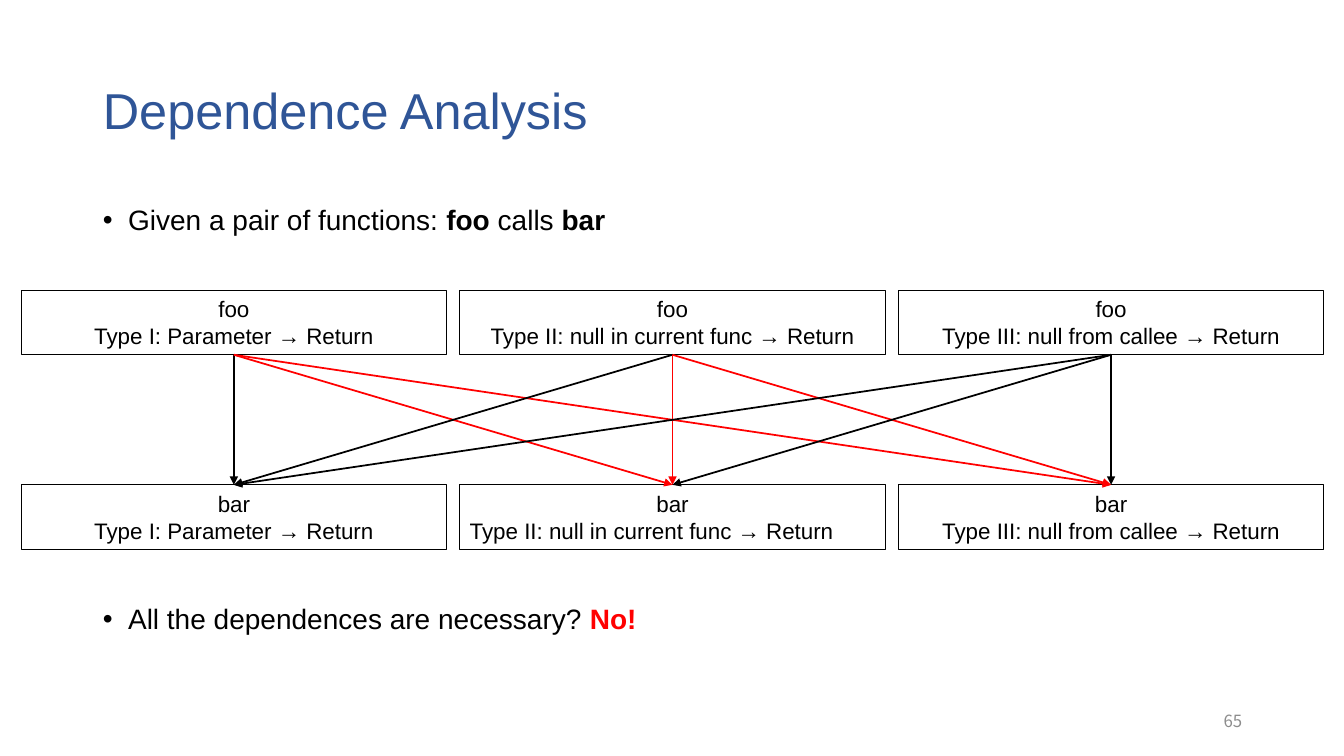
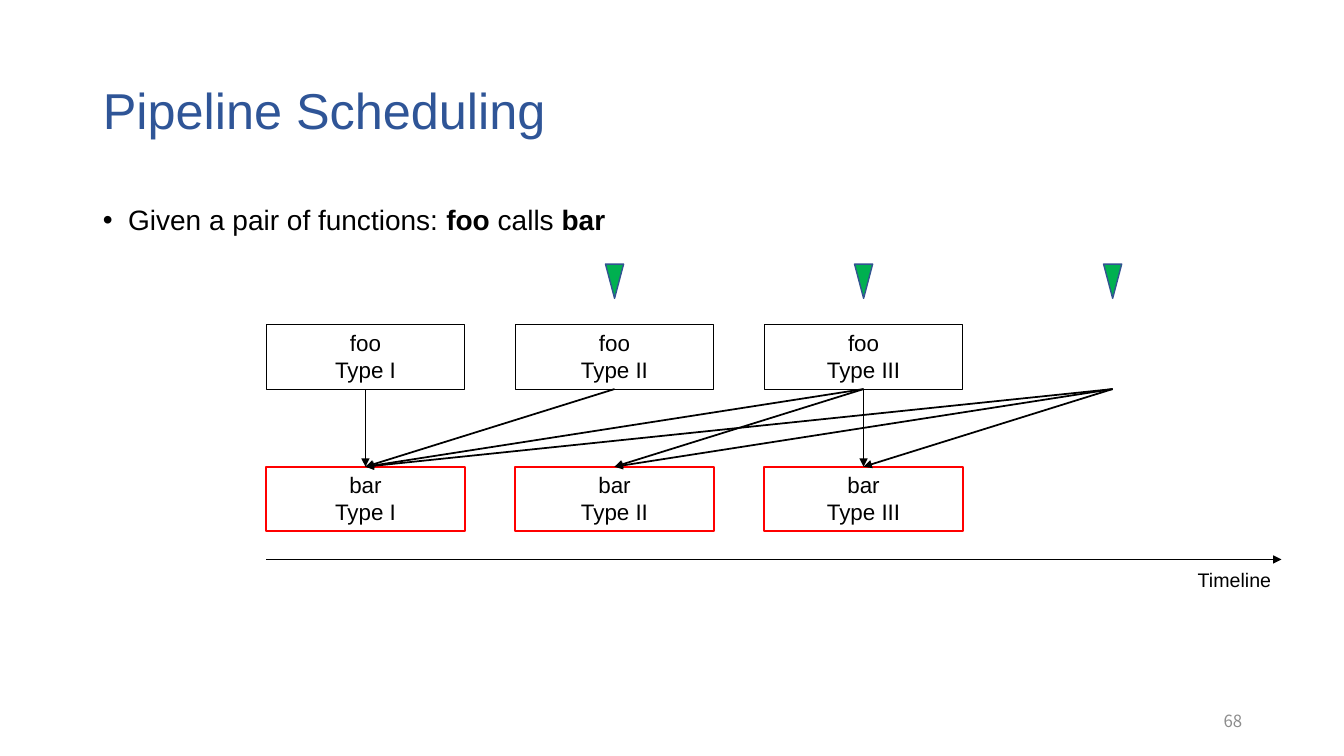
from dataclasses import dataclass

from lxml import etree
from pptx import Presentation
from pptx.dml.color import RGBColor
from pptx.enum.shapes import MSO_CONNECTOR, MSO_SHAPE
from pptx.enum.text import MSO_ANCHOR, MSO_AUTO_SIZE, PP_ALIGN
from pptx.oxml.ns import qn
from pptx.presentation import Presentation as Deck
from pptx.shapes.autoshape import Shape
from pptx.slide import Slide
from pptx.text.text import _Paragraph as Paragraph
from pptx.util import Inches, Pt

LEFT, CENTER, RIGHT = PP_ALIGN.LEFT, PP_ALIGN.CENTER, PP_ALIGN.RIGHT
TOP, MIDDLE = MSO_ANCHOR.TOP, MSO_ANCHOR.MIDDLE
NO_FIT = MSO_AUTO_SIZE.NONE
STRAIGHT = MSO_CONNECTOR.STRAIGHT
RECTANGLE, TRIANGLE = MSO_SHAPE.RECTANGLE, MSO_SHAPE.ISOSCELES_TRIANGLE
TOP_SITE, BOTTOM_SITE = 0, 2

COLORS = {
    "title": "2F5597",
    "text": "000000",
    "alert": "FF0000",
    "number": "8C8C8C",
    "marker": "00B050",
    "marker_edge": "325491",
}
FONT, NUMBER_FONT = "Arial", "Noto Sans CJK SC"
BOX_HEIGHT = 0.64


@dataclass(frozen=True)
class Span:
    text: str
    bold: bool = False
    color: str = "text"


@dataclass(frozen=True)
class Grid:
    left: float
    pitch: float
    width: float
    foo_top: float
    bar_top: float

    def column(self, index: int) -> float:
        return self.left + index * self.pitch

    def center(self, index: int) -> float:
        return self.column(index) + self.width / 2


@dataclass(frozen=True)
class Link:
    foo: int
    bar: int
    color: str = "text"


CALL = [Span("Given a pair of functions: "), Span("foo", True), Span(" calls "), Span("bar", True)]
QUESTION = [Span("All the dependences are necessary? "), Span("No!", True, "alert")]

DEPENDENCE_GRID = Grid(0.21, 4.35, 4.22, 2.88, 4.81)
DEPENDENCE_TYPES = [
    "Type I: Parameter → Return",
    "Type II: null in current func → Return",
    "Type III: null from callee → Return",
]
DEPENDENCE_LINKS = [
    Link(0, 0), Link(0, 1, "alert"), Link(0, 2, "alert"),
    Link(1, 0), Link(1, 1, "alert"), Link(1, 2, "alert"),
    Link(2, 2), Link(2, 1), Link(2, 0),
]

PIPELINE_GRID = Grid(2.64, 2.47, 1.97, 3.22, 4.63)
PIPELINE_TYPES = ["Type I", "Type II", "Type III"]
PIPELINE_LINKS = [
    Link(0, 0), Link(1, 0), Link(2, 2), Link(2, 1), Link(2, 0),
    Link(3, 0), Link(3, 1), Link(3, 2),
]


def rgb(name: str) -> RGBColor:
    return RGBColor.from_string(COLORS[name])


def style(para: Paragraph, size: float, color: str = "text", font: str = FONT) -> None:
    para.font.size = Pt(size)
    para.font.name = font
    para.font.color.rgb = rgb(color)


def place(shape: Shape, left: float, top: float, width: float, height: float) -> None:
    shape.left, shape.top = Inches(left), Inches(top)
    shape.width, shape.height = Inches(width), Inches(height)


def add_label(page: Slide, text: str, area: tuple[float, float, float, float], size: float,
              color: str = "text", font: str = FONT, align: PP_ALIGN = LEFT) -> None:
    box = page.shapes.add_textbox(*map(Inches, area))
    box.text_frame.word_wrap = True
    box.text_frame.vertical_anchor = MIDDLE
    para = box.text_frame.paragraphs[0]
    para.text = text
    para.alignment = align
    style(para, size, color, font)


def add_bullet(para: Paragraph, spans: list[Span], space_before: float) -> None:
    para.line_spacing = 0.9
    para.space_before = Pt(space_before)
    properties = para._p.get_or_add_pPr()
    properties.set("marL", str(Inches(0.25)))
    properties.set("indent", str(-Inches(0.25)))
    style(para, 20)
    for span in spans:
        run = para.add_run()
        run.text = span.text
        run.font.bold = span.bold
        if span.color != "text":
            run.font.color.rgb = rgb(span.color)


def add_page(deck: Deck, title: str, bullets: list[list[Span]], number: int) -> Slide:
    page = deck.slides.add_slide(deck.slide_layouts[1])
    heading = page.shapes.title
    place(heading, 0.92, 0.4, 11.5, 1.45)
    heading.text_frame.vertical_anchor = MIDDLE
    heading.text_frame.auto_size = NO_FIT
    para = heading.text_frame.paragraphs[0]
    para.text = title
    para.alignment = LEFT
    para.line_spacing = 0.9
    style(para, 36, "title")

    body = page.placeholders[1]
    place(body, 0.92, 2, 11.5, 4.76)
    frame = body.text_frame
    frame.auto_size = NO_FIT
    for index, spans in enumerate(bullets):
        para = frame.add_paragraph() if index else frame.paragraphs[0]
        add_bullet(para, spans, 263 if index else 0)

    add_label(page, str(number), (9.42, 6.95, 3, 0.4), 12, "number", NUMBER_FONT, RIGHT)
    return page


def add_box(page: Slide, left: float, top: float, width: float, lines: list[str],
            edge: str = "text", edge_width: float = 0.75) -> Shape:
    box = page.shapes.add_shape(
        RECTANGLE, Inches(left), Inches(top), Inches(width), Inches(BOX_HEIGHT))
    box.shadow.inherit = False
    box.fill.background()
    box.line.color.rgb = rgb(edge)
    box.line.width = Pt(edge_width)
    frame = box.text_frame
    frame.word_wrap = True
    frame.vertical_anchor = TOP
    for index, line in enumerate(lines):
        para = frame.add_paragraph() if index else frame.paragraphs[0]
        para.text = line
        para.alignment = CENTER
        style(para, 16)
    return box


def add_arrow(page: Slide, start: tuple[float, float], end: tuple[float, float],
              color: str = "text"):
    arrow = page.shapes.add_connector(STRAIGHT, *map(Inches, start + end))
    arrow.line.color.rgb = rgb(color)
    arrow.line.width = Pt(1.25)
    etree.SubElement(arrow.line._get_or_add_ln(), qn("a:tailEnd"), type="triangle")
    etree.SubElement(arrow._element.spPr, qn("a:effectLst"))
    return arrow


def add_call_graph(page: Slide, grid: Grid, types: list[str], links: list[Link],
                   bar_edge: str = "text", bar_edge_width: float = 0.75) -> list[Shape]:
    foos, bars = [], []
    for index, kind in enumerate(types):
        left = grid.column(index)
        foos.append(add_box(page, left, grid.foo_top, grid.width, ["foo", kind]))
        bars.append(add_box(page, left, grid.bar_top, grid.width, ["bar", kind],
                            bar_edge, bar_edge_width))
    for link in links:
        start = (grid.center(link.foo), grid.foo_top + BOX_HEIGHT)
        end = (grid.center(link.bar), grid.bar_top)
        arrow = add_arrow(page, start, end, link.color)
        if link.foo < len(foos):
            arrow.begin_connect(foos[link.foo], BOTTOM_SITE)
        arrow.end_connect(bars[link.bar], TOP_SITE)
    return bars


def add_marker(page: Slide, center: float) -> None:
    width = 0.18
    marker = page.shapes.add_shape(
        TRIANGLE, Inches(center - width / 2), Inches(2.62), Inches(width), Inches(0.34))
    marker.rotation = 180
    marker.shadow.inherit = False
    marker.fill.solid()
    marker.fill.fore_color.rgb = rgb("marker")
    marker.line.color.rgb = rgb("marker_edge")
    marker.line.width = Pt(1)


def add_dependence_page(deck: Deck) -> None:
    page = add_page(deck, "Dependence Analysis", [CALL, QUESTION], 65)
    bars = add_call_graph(page, DEPENDENCE_GRID, DEPENDENCE_TYPES, DEPENDENCE_LINKS)
    bars[1].text_frame.paragraphs[1].alignment = LEFT


def add_pipeline_page(deck: Deck) -> None:
    page = add_page(deck, "Pipeline Scheduling", [CALL], 68)
    add_call_graph(page, PIPELINE_GRID, PIPELINE_TYPES, PIPELINE_LINKS, "alert", 1.5)
    for index in range(1, 4):
        add_marker(page, PIPELINE_GRID.center(index))
    add_arrow(page, (PIPELINE_GRID.left, 5.55), (12.71, 5.55))
    add_label(page, "Timeline", (11.78, 5.58, 0.95, 0.34), 14)


def main() -> None:
    deck = Presentation()
    deck.slide_width, deck.slide_height = Inches(13.33), Inches(7.5)
    add_dependence_page(deck)
    add_pipeline_page(deck)
    deck.save("out.pptx")


if __name__ == "__main__":
    main()
